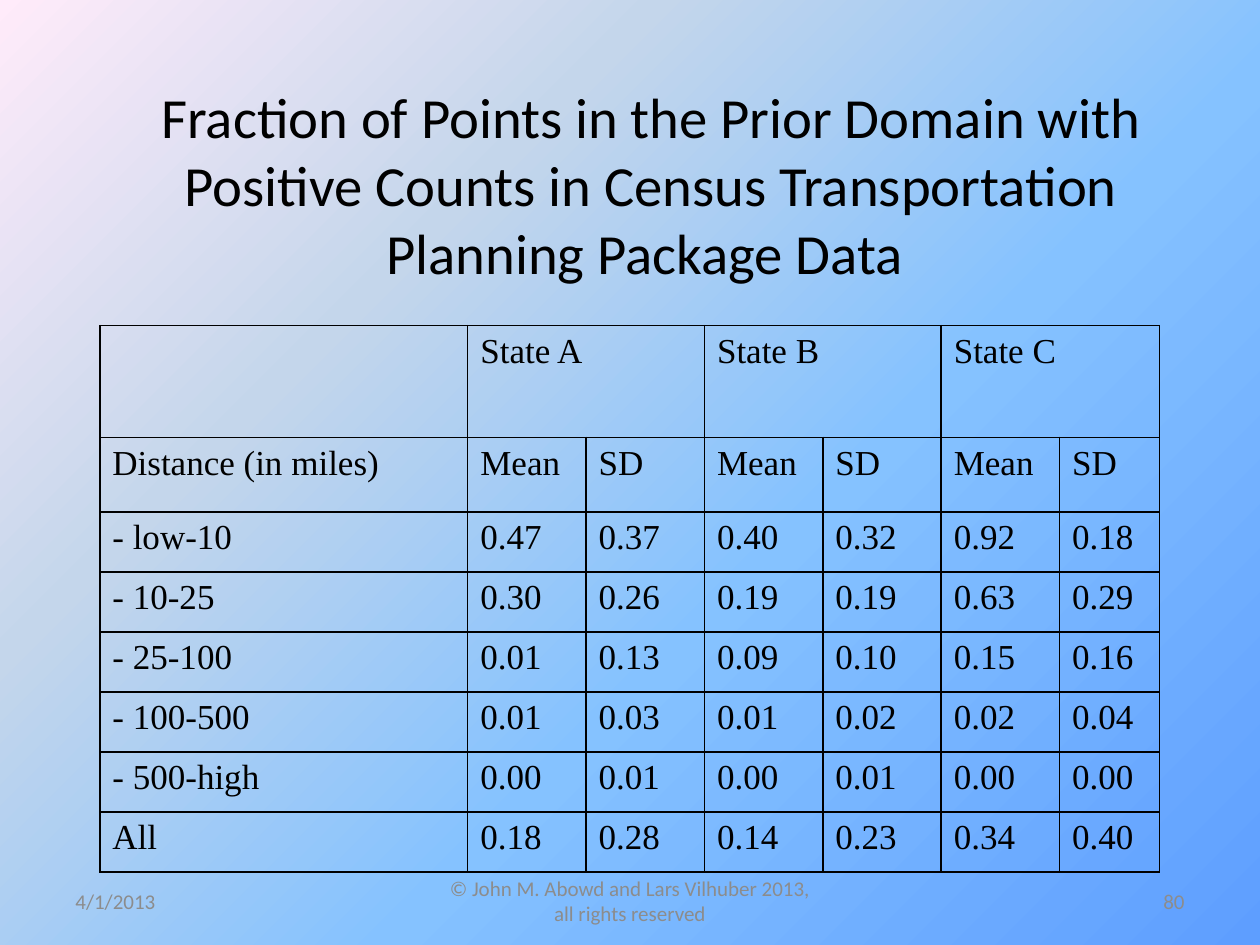
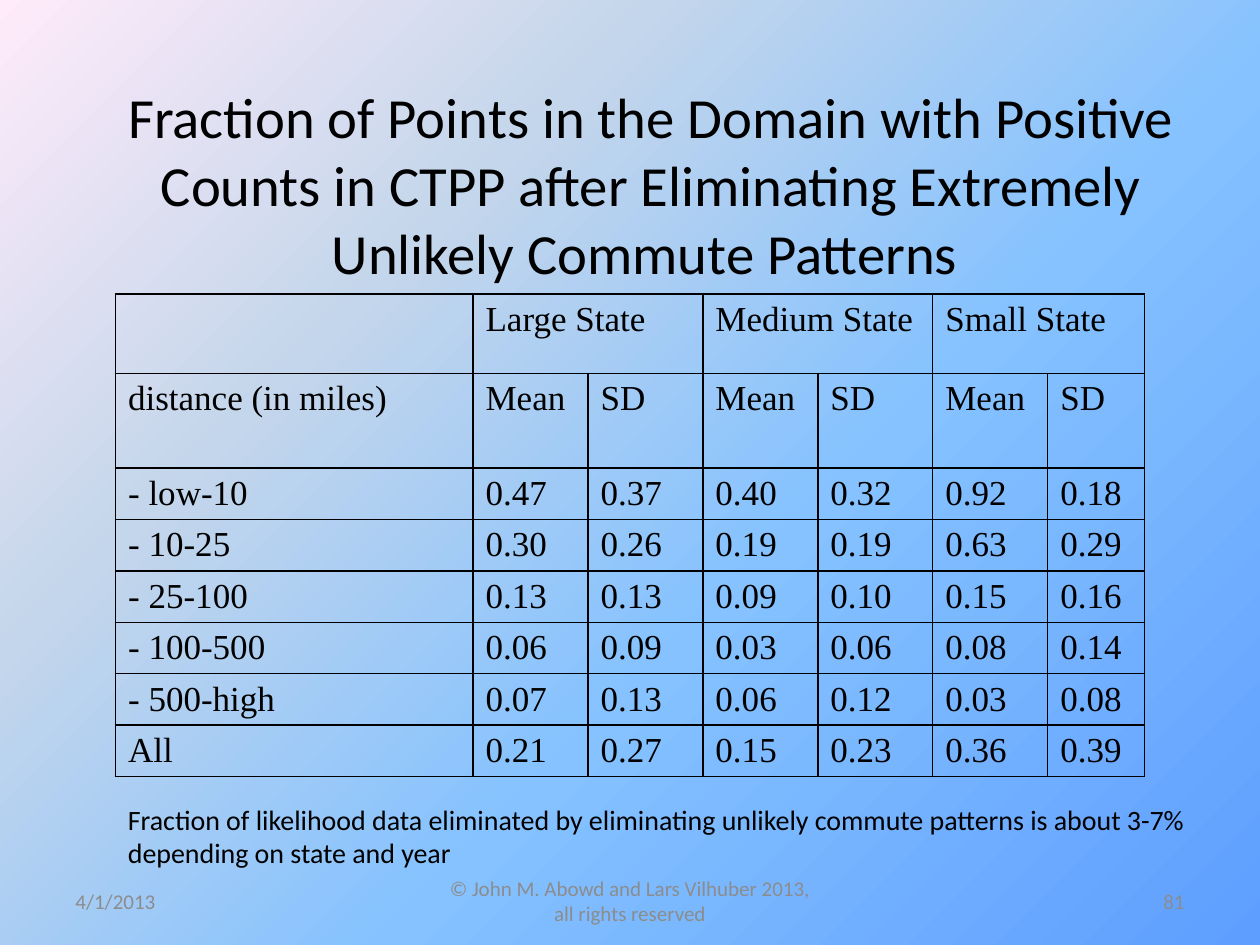
from lxml import etree
from pptx import Presentation
from pptx.dml.color import RGBColor
from pptx.enum import text
from pptx.oxml import parse_xml
from pptx.oxml.ns import nsdecls, qn
from pptx.util import Pt

BLACK = RGBColor(0x00, 0x00, 0x00)
GREY = RGBColor(0x8C, 0x8C, 0x8C)
BLUE = RGBColor(0x5E, 0x9E, 0xFF)
SKY = RGBColor(0x85, 0xC2, 0xFF)
MIST = RGBColor(0xC4, 0xD6, 0xEB)
PINK = RGBColor(0xFF, 0xEB, 0xFA)
GRADIENT = [(0, BLUE), (40, SKY), (70, MIST), (100, PINK)]

LEFT, CENTER, RIGHT = (text.PP_ALIGN.LEFT, text.PP_ALIGN.CENTER,
                       text.PP_ALIGN.RIGHT)
MIDDLE, TOP = text.MSO_ANCHOR.MIDDLE, text.MSO_ANCHOR.TOP
FIXED = text.MSO_AUTO_SIZE.NONE
GROW = text.MSO_AUTO_SIZE.SHAPE_TO_FIT_TEXT

TITLE = {"name": "Calibri", "size": Pt(32.4)}
TABLE = {"name": "Times New Roman", "size": Pt(20)}
NOTE = {"name": "Calibri", "size": Pt(16)}
FOOTER = {"name": "Calibri", "size": Pt(12)}

DATE = "4/1/2013"
RIGHTS = "© John M. Abowd and Lars Vilhuber 2013, all rights reserved"
BANDS = ["- low-10", "- 10-25", "- 25-100", "- 100-500", "- 500-high", "All"]


def set_all(obj, values):
    for key, value in values.items():
        setattr(obj, key, value)


class Deck:
    def __init__(self):
        self.prs = Presentation()
        self.prs.slide_width, self.prs.slide_height = Pt(720), Pt(540)
        self.s = None
        self.background()

    def background(self):
        """Radial gradient from the bottom right corner, on the master."""
        master = self.prs.slide_master
        master.background.fill.gradient()
        old = master.element.find(".//" + qn("a:gradFill"))
        stops = "".join(
            f'<a:gs pos="{pos * 1000}"><a:srgbClr val="{color}"/></a:gs>'
            for pos, color in GRADIENT)
        old.getparent().replace(old, parse_xml(
            f'<a:gradFill {nsdecls("a")} rotWithShape="1">'
            f'<a:gsLst>{stops}</a:gsLst><a:path path="circle">'
            '<a:fillToRect l="100000" t="100000"/></a:path></a:gradFill>'))

    def words(self, tf, words, font, color=BLACK, align=LEFT):
        p = tf.paragraphs[0]
        p.alignment = align
        r = p.add_run()
        r.text = words
        set_all(r.font, font)
        r.font.color.rgb = color
        return p

    def slide(self, title, number):
        self.s = self.prs.slides.add_slide(self.prs.slide_layouts[5])
        sp = self.s.shapes.title
        set_all(sp, {"left": Pt(60), "top": Pt(60),
                     "width": Pt(624), "height": Pt(90)})
        set_all(sp.text_frame, {"word_wrap": True, "auto_size": FIXED,
                                "vertical_anchor": MIDDLE})
        self.words(sp.text_frame, title, TITLE, align=CENTER)
        # Footer line
        for left, width, words, align in [(36, 168, DATE, LEFT),
                                          (246, 228, RIGHTS, CENTER),
                                          (516, 168, str(number), RIGHT)]:
            self.text(left, 500.5, width, 28.75, words, FOOTER, GREY,
                      align, MIDDLE)

    def text(self, left, top, width, height, words, font, color=BLACK,
             align=LEFT, anchor=TOP, fit=FIXED):
        sp = self.s.shapes.add_textbox(Pt(left), Pt(top), Pt(width), Pt(height))
        set_all(sp.text_frame, {"word_wrap": True, "auto_size": fit,
                                "vertical_anchor": anchor})
        self.words(sp.text_frame, words, font, color, align)

    def cell(self, cell, words):
        cell.fill.background()
        if words:
            p = self.words(cell.text_frame, words, TABLE)
            pPr = p._p.get_or_add_pPr()
            pPr.set("marL", str(Pt(27)))
            pPr.set("indent", str(-Pt(27)))
        # Borders come before the fill in the cell properties
        tcPr = cell._tc.get_or_add_tcPr()
        for i, side in enumerate(("lnL", "lnR", "lnT", "lnB")):
            ln = etree.Element(qn("a:" + side), w=str(Pt(1)))
            fill = etree.SubElement(ln, qn("a:solidFill"))
            etree.SubElement(fill, qn("a:srgbClr"), val=str(BLACK))
            tcPr.insert(i, ln)

    def distance_table(self, left, top, widths, heights, states, label, values):
        """Mean and SD by distance band, two columns to a state."""
        heads = [""] + [w for state in states for w in (state, "")]
        rows = [heads, [label] + ["Mean", "SD"] * len(states)]
        rows += [[band] + line.split() for band, line in zip(BANDS, values)]
        tbl = self.s.shapes.add_table(
            len(rows), len(heads), Pt(left), Pt(top),
            Pt(sum(widths)), Pt(sum(heights))).table
        set_all(tbl, {"first_row": False, "horz_banding": False})
        for col, width in zip(tbl.columns, widths):
            col.width = Pt(width)
        for row, height, words in zip(tbl.rows, heights, rows):
            row.height = Pt(height)
            for cell, word in zip(row.cells, words):
                self.cell(cell, word)
        for c in range(1, len(heads), 2):
            tbl.cell(0, c).merge(tbl.cell(0, c + 1))


def main():
    deck = Deck()

    # Prior domain
    deck.slide("Fraction of Points in the Prior Domain with Positive Counts "
               "in Census Transportation Planning Package Data ", 80)
    deck.distance_table(
        57, 186, [210.3] + [67.65] * 5 + [57], [64, 42.6] + [34.3] * 6,
        ["State A", "State B", "State C"], "Distance (in miles)",
        ["0.47 0.37 0.40 0.32 0.92 0.18",
         "0.30 0.26 0.19 0.19 0.63 0.29",
         "0.01 0.13 0.09 0.10 0.15 0.16",
         "0.01 0.03 0.01 0.02 0.02 0.04",
         "0.00 0.01 0.00 0.01 0.00 0.00",
         "0.18 0.28 0.14 0.23 0.34 0.40"])

    # Domain without unlikely commutes
    deck.slide("Fraction of Points in the Domain with Positive Counts in CTPP "
               "after Eliminating Extremely Unlikely Commute Patterns ", 81)
    deck.distance_table(
        66, 168, [204.3] + [65.7] * 5 + [55.3], [45.3, 54] + [27.4] * 6,
        ["Large State", "Medium State", "Small State"], "distance (in miles)",
        ["0.47 0.37 0.40 0.32 0.92 0.18",
         "0.30 0.26 0.19 0.19 0.63 0.29",
         "0.13 0.13 0.09 0.10 0.15 0.16",
         "0.06 0.09 0.03 0.06 0.08 0.14",
         "0.07 0.13 0.06 0.12 0.03 0.08",
         "0.21 0.27 0.15 0.23 0.36 0.39"])
    deck.text(66, 455, 636, 46, "Fraction of likelihood data eliminated by "
              "eliminating unlikely commute patterns is about 3-7% depending "
              "on state and year", NOTE, fit=GROW)

    deck.prs.save("out.pptx")


if __name__ == "__main__":
    main()
